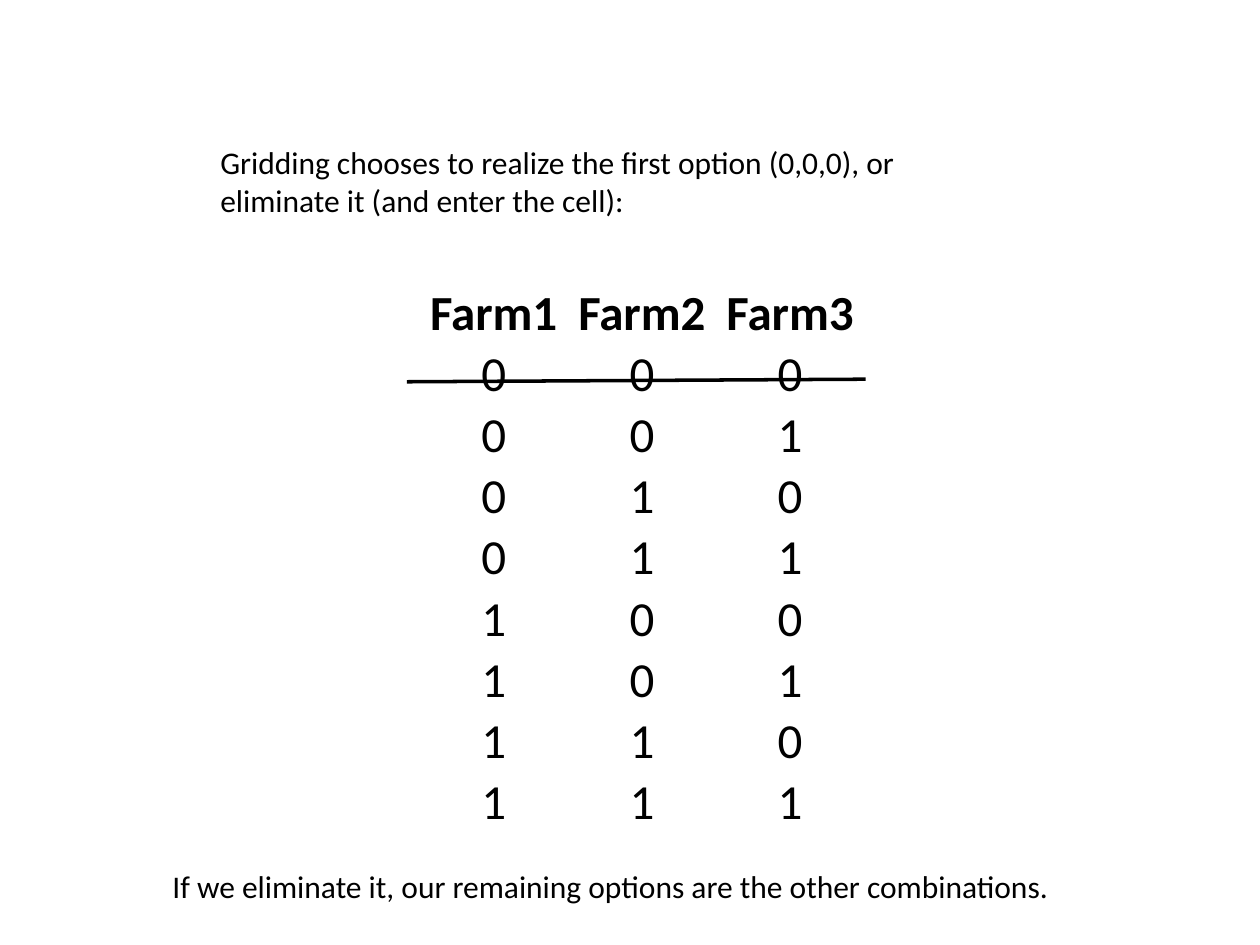
from itertools import product

from lxml import etree
from pptx import Presentation
from pptx.dml.color import RGBColor
from pptx.enum.shapes import MSO_CONNECTOR
from pptx.enum.text import MSO_ANCHOR, MSO_AUTO_SIZE, PP_ALIGN
from pptx.oxml.ns import qn
from pptx.util import Inches, Pt

BLACK = RGBColor(0, 0, 0)
FONT = "Calibri"
CENTER = PP_ALIGN.CENTER
BOTTOM = MSO_ANCHOR.BOTTOM
STRAIGHT = MSO_CONNECTOR.STRAIGHT
FIT_SHAPE = MSO_AUTO_SIZE.SHAPE_TO_FIT_TEXT
WIDTH, HEIGHT = Inches(10), Inches(7.5)
FARMS = ("Farm1", "Farm2", "Farm3")


def across(percent):
    """Return a percentage of the slide's width."""
    return round(WIDTH * percent / 100)


def down(percent):
    """Return a percentage of the slide's height."""
    return round(HEIGHT * percent / 100)


def add_span(para, text, size, bold=False):
    """Add one formatted run to a paragraph."""
    span = para.add_run()
    span.text = text
    span.font.name = FONT
    span.font.size = Pt(size)
    span.font.bold = bold
    span.font.color.rgb = BLACK


def add_note(page, text, left, top, width, height):
    """Add a wrapped text box placed by shares of the slide."""
    box = page.shapes.add_textbox(across(left), down(top), across(width), down(height))
    box.text_frame.word_wrap = True
    box.text_frame.auto_size = FIT_SHAPE
    add_span(box.text_frame.paragraphs[0], text, 18)


def fill_cell(cell, text, bold):
    """Write centred text into an unfilled cell."""
    cell.fill.background()
    cell.vertical_anchor = BOTTOM
    cell.margin_left = cell.margin_right = cell.margin_top = Inches(0.01)
    cell.margin_bottom = 0
    para = cell.text_frame.paragraphs[0]
    para.alignment = CENTER
    add_span(para, text, 28, bold)


def add_options(page, left, top, width, height):
    """Add the table of every combination of farms."""
    rows = [FARMS, *product("01", repeat=len(FARMS))]
    frame = page.shapes.add_table(
        len(rows), len(FARMS), across(left), down(top), across(width), down(height)
    )
    table = frame.table
    table.first_row = table.horz_banding = False
    for row, values in enumerate(rows):
        for column, value in enumerate(values):
            fill_cell(table.cell(row, column), value, bold=row == 0)


def add_strike(page, start_x, start_y, end_x, end_y):
    """Add the line that crosses out an option."""
    line = page.shapes.add_connector(
        STRAIGHT, across(start_x), down(start_y), across(end_x), down(end_y)
    )
    line.line.color.rgb = BLACK
    line.line.width = Pt(2)
    etree.SubElement(line._element.spPr, qn("a:effectLst"))


def main():
    """Build and save the slide."""
    deck = Presentation()
    deck.slide_width, deck.slide_height = WIDTH, HEIGHT
    page = deck.slides.add_slide(deck.slide_layouts[6])
    add_options(page, 33.3, 29.87, 35.3, 57.6)
    add_note(
        page,
        "Gridding chooses to realize the first option (0,0,0), or "
        "eliminate it (and enter the cell):",
        16.5, 14.53, 65.4, 9.47,
    )
    add_strike(page, 32.3, 40.4, 68.7, 40.13)
    add_note(
        page,
        "If we eliminate it, our remaining options are the other combinations.",
        12.7, 91.07, 75.1, 5.33,
    )
    deck.save("out.pptx")


if __name__ == "__main__":
    main()
